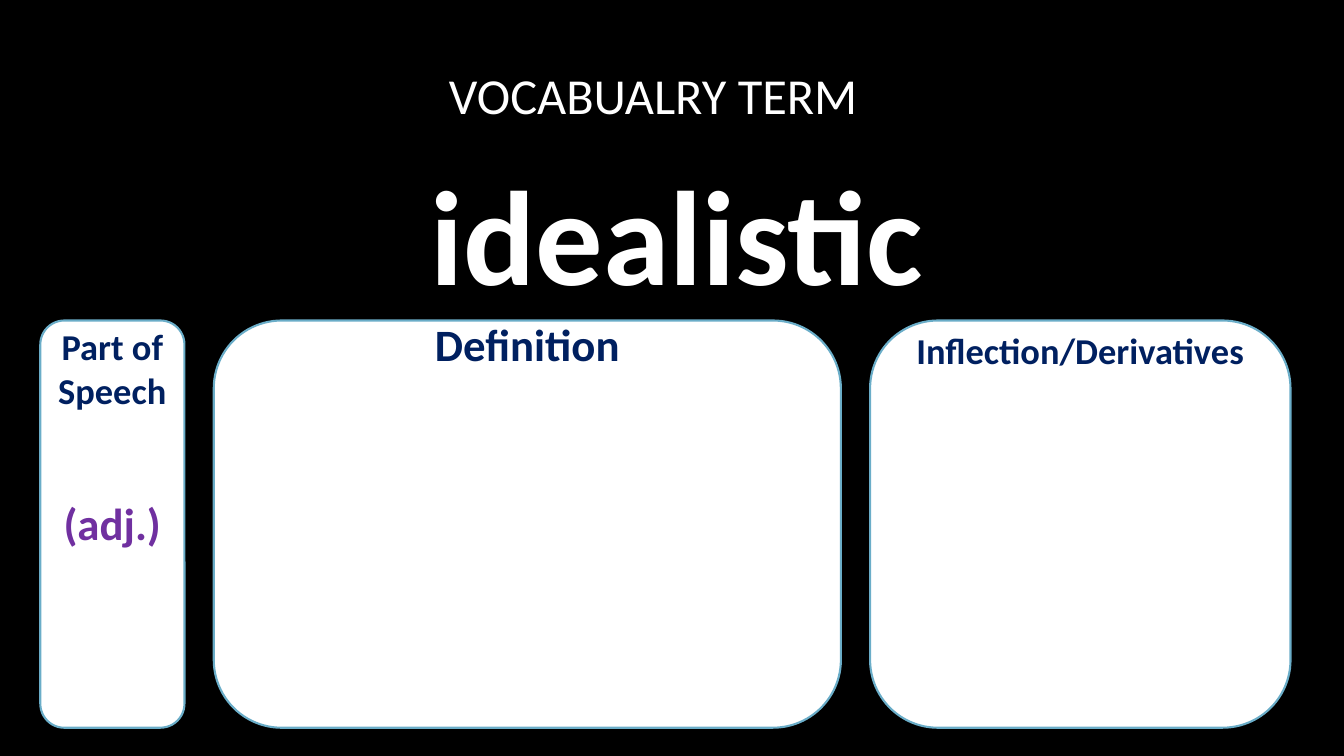
from pptx import Presentation
from pptx.dml.color import RGBColor
from pptx.enum.shapes import MSO_SHAPE
from pptx.enum.text import MSO_ANCHOR, PP_ALIGN
from pptx.util import Inches, Pt


def color(value):
    return RGBColor.from_string(value)


def add_line(paragraph, text, size, value, bold):
    paragraph.alignment = PP_ALIGN.CENTER
    run = paragraph.add_run()
    run.text = text
    run.font.name = "Calibri"
    run.font.size = Pt(size)
    run.font.bold = bold
    run.font.color.rgb = color(value)


presentation = Presentation()
presentation.slide_width = Inches(13.33)
presentation.slide_height = Inches(7.5)
slide = presentation.slides.add_slide(presentation.slide_layouts[6])
slide.background.fill.solid()
slide.background.fill.fore_color.rgb = color("000000")

headings = [
    ("VOCABUALRY TERM", 0.46, 0.96, 36, False, 0.56),
    ("idealistic", 1.42, 1.76, 96, True, 0.1),
]
for text, top, height, size, bold, right_margin in headings:
    box = slide.shapes.add_textbox(Inches(1.17), Inches(top), Inches(11.08), Inches(height))
    frame = box.text_frame
    frame.word_wrap = True
    frame.vertical_anchor = MSO_ANCHOR.MIDDLE
    frame.margin_right = Inches(right_margin)
    add_line(frame.paragraphs[0], text, size, "FFFFFF", bold)

card_top, card_height, gap = 3.18, 4.04, 0.29
cards = [
    (1.43, -0.03, [("Part of Speech", 26, "002060"), ("(adj.)", 32, "7030A0")]),
    (6.22, -0.23, [("Definition", 32, "002060")]),
    (4.17, -0.12, [("Inflection/Derivatives", 26, "002060")]),
]
left = 0.4
for width, top_margin, lines in cards:
    card = slide.shapes.add_shape(
        MSO_SHAPE.ROUNDED_RECTANGLE,
        Inches(left), Inches(card_top), Inches(width), Inches(card_height),
    )
    card.shadow.inherit = False
    card.fill.solid()
    card.fill.fore_color.rgb = color("FFFFFF")
    card.line.color.rgb = color("6AADC8")
    card.line.width = Pt(1.5)
    frame = card.text_frame
    frame.word_wrap = True
    frame.vertical_anchor = MSO_ANCHOR.TOP
    frame.margin_top = Inches(top_margin)
    for index, (text, size, value) in enumerate(lines):
        paragraph = frame.add_paragraph() if index else frame.paragraphs[0]
        if index:
            paragraph.space_before = Pt(60)
        add_line(paragraph, text, size, value, True)
    left += width + gap

presentation.save("out.pptx")
